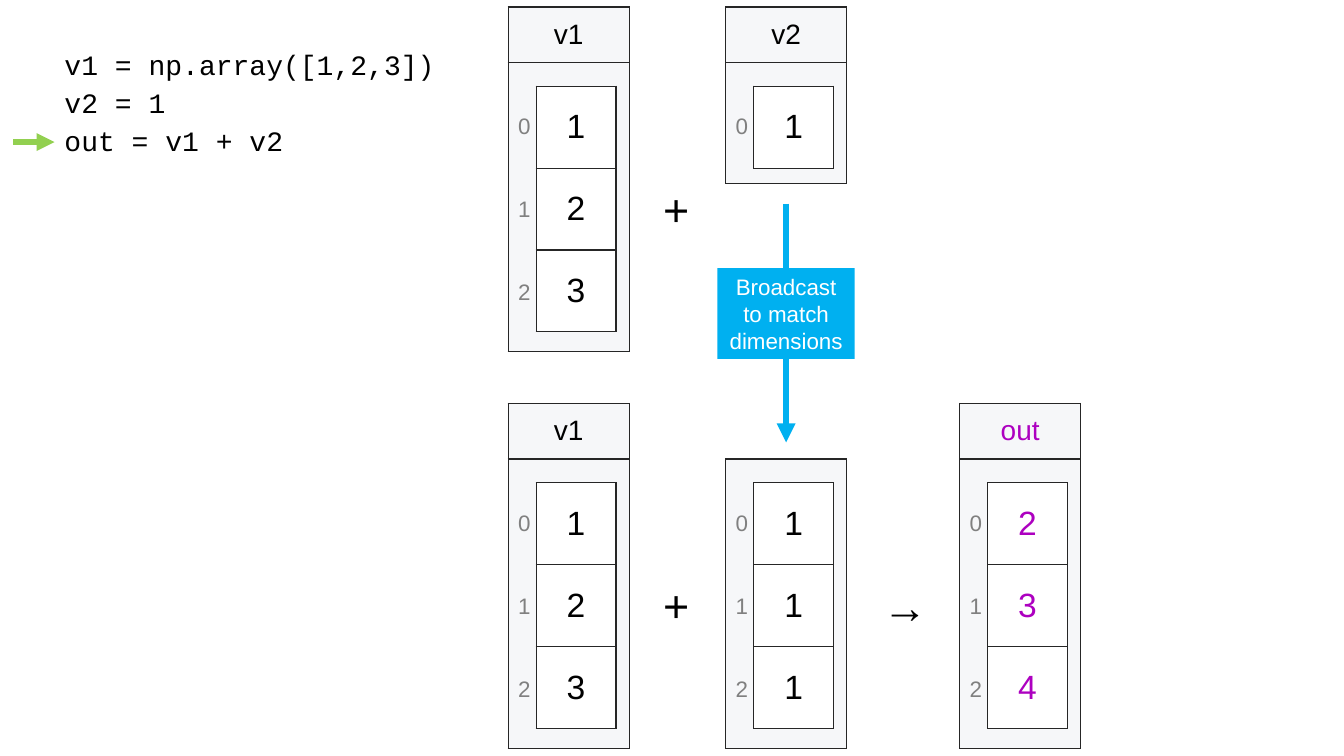
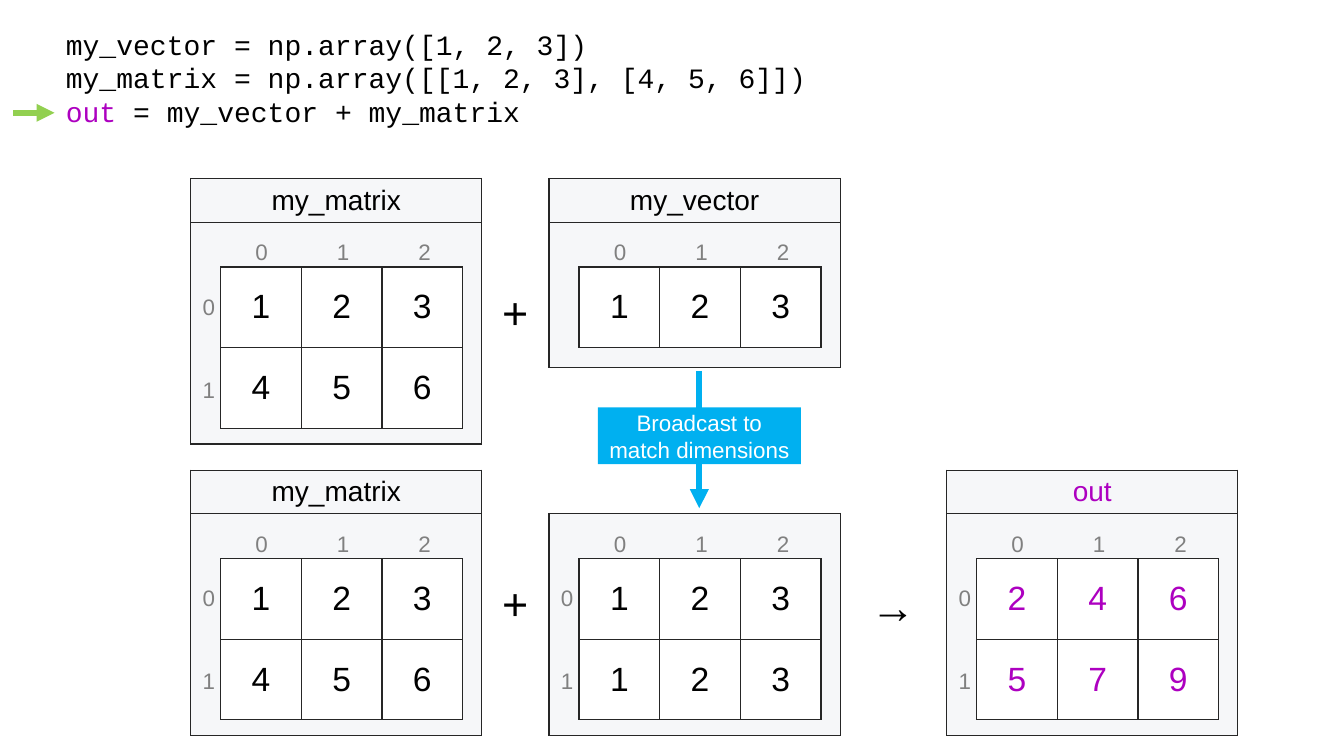
from lxml import etree
from pptx import Presentation
from pptx.dml.color import RGBColor
from pptx.enum.shapes import MSO_CONNECTOR, MSO_SHAPE
from pptx.enum.text import MSO_ANCHOR, PP_ALIGN
from pptx.oxml.ns import qn
from pptx.util import Pt

BLACK = RGBColor(0x00, 0x00, 0x00)
WHITE = RGBColor(0xFF, 0xFF, 0xFF)
PANEL = RGBColor(0xF6, 0xF7, 0xF9)
BORDER = RGBColor(0x26, 0x26, 0x26)
GREY = RGBColor(0x80, 0x80, 0x80)
PURPLE = RGBColor(0xAD, 0x00, 0xC0)
GREEN = RGBColor(0x92, 0xD0, 0x50)
BLUE = RGBColor(0x00, 0xB0, 0xF0)

SANS, MONO = "Arial", "Courier New"
LABEL_W, LABEL_H = 25, 26.6
ROW_LABEL_STEP, COL_LABEL_STEP = 59.3, 58.2


class Layout:
    """Measures, in points, shared by the array panels of one slide."""

    def __init__(self, width, header, cell_w, cell_h, inset_x, inset_y, label_x):
        self.width, self.header = width, header
        self.cell_w, self.cell_h = cell_w, cell_h
        self.inset_x, self.inset_y = inset_x, inset_y
        self.label_x = label_x


VECTOR = Layout(86.5, 39.6, 57, 58.5, 20, 17, 0)
MATRIX = Layout(208, 31, 57.6, 57.6, 21.4, 32.2, 1.4)


class Deck:
    def __init__(self):
        self.prs = Presentation()
        self.prs.slide_width, self.prs.slide_height = Pt(960), Pt(540)
        self.slide = None
        self.layout = None

    def new_slide(self, layout):
        self.slide = self.prs.slides.add_slide(self.prs.slide_layouts[6])
        self.layout = layout

    def style(self, p, size, color, font=SANS, align=PP_ALIGN.CENTER):
        p.alignment = align
        for r in p.runs:
            r.font.size, r.font.name = Pt(size), font
            r.font.color.rgb = color

    def text(self, x, y, w, h, text, size, color=BLACK, align=PP_ALIGN.CENTER):
        tf = self.slide.shapes.add_textbox(Pt(x), Pt(y), Pt(w), Pt(h)).text_frame
        tf.word_wrap = True
        tf.text = text
        self.style(tf.paragraphs[0], size, color, align=align)

    def operator(self, x, y, symbol):
        """Place a large symbol centred on x."""
        self.text(x - 25, y, 50, 46, symbol, 32)

    def code(self, x, y, lines, gap=0, accent=None):
        """Write lines of code; accent is a leading word of the last line."""
        box = self.slide.shapes.add_textbox(Pt(x), Pt(y), Pt(548), Pt(80))
        tf = box.text_frame
        tf.word_wrap = False
        tf.text = "\n".join(lines)
        last = tf.paragraphs[-1]
        if accent:
            last.text = accent
            last.add_run().text = lines[-1].removeprefix(accent)
        for p in tf.paragraphs:
            p.space_after = Pt(gap)
            self.style(p, 20, BLACK, MONO, PP_ALIGN.LEFT)
        if accent:
            last.runs[0].font.color.rgb = PURPLE

    def arrow(self, x1, y1, x2, y2, color, width):
        line = self.slide.shapes.add_connector(
            MSO_CONNECTOR.STRAIGHT, Pt(x1), Pt(y1), Pt(x2), Pt(y2))
        line.line.color.rgb = color
        line.line.width = Pt(width)
        etree.SubElement(line.line._get_or_add_ln(), qn("a:tailEnd"), type="triangle")
        etree.SubElement(line._element.spPr, qn("a:effectLst"))

    def current_line(self, y):
        """Point at the line of code being run."""
        self.arrow(9.4, y, 39, y, GREEN, 4.25)

    def broadcast(self, x, top, bottom, label_y, label_w, label_h):
        """Draw a downward arrow at x with a label box across it."""
        self.arrow(x, top, x, bottom, BLUE, 4.5)
        sp = self.slide.shapes.add_shape(
            MSO_SHAPE.RECTANGLE, Pt(x - label_w / 2), Pt(label_y), Pt(label_w), Pt(label_h))
        sp.shadow.inherit = False
        sp.fill.solid()
        sp.fill.fore_color.rgb = BLUE
        sp.line.fill.background()
        tf = sp.text_frame
        tf.word_wrap = True
        tf.vertical_anchor = MSO_ANCHOR.MIDDLE
        tf.text = "Broadcast to match dimensions"
        self.style(tf.paragraphs[0], 16, WHITE)

    def border(self, cell):
        tcPr = cell._tc.get_or_add_tcPr()
        for i, side in enumerate(("lnL", "lnR", "lnT", "lnB")):
            ln = etree.Element(qn(f"a:{side}"), w=str(Pt(1)))
            fill = etree.SubElement(ln, qn("a:solidFill"))
            etree.SubElement(fill, qn("a:srgbClr"), val=str(BORDER))
            tcPr.insert(i, ln)

    def table(self, x, y, col_w, heights, values, size, color, fill):
        n = len(values[0])
        table = self.slide.shapes.add_table(
            len(values), n, Pt(x), Pt(y), Pt(col_w * n), Pt(sum(heights))).table
        table.first_row = table.horz_banding = False
        for col in table.columns:
            col.width = Pt(col_w)
        for row, height, row_values in zip(table.rows, heights, values):
            row.height = Pt(height)
            for cell, value in zip(row.cells, row_values):
                cell.fill.solid()
                cell.fill.fore_color.rgb = fill
                cell.vertical_anchor = MSO_ANCHOR.MIDDLE
                self.border(cell)
                if value != "":
                    cell.text = str(value)
                    self.style(cell.text_frame.paragraphs[0], size, color)

    def array(self, x, y, body, values, name=None, color=BLACK,
              row_labels=True, col_labels=False):
        """Draw a panel whose body starts at y, its header above, its cells inside."""
        lay = self.layout
        if name:
            self.table(x, y - lay.header, lay.width, [lay.header, body],
                       [[name], [""]], 20, color, PANEL)
        else:
            self.table(x, y, lay.width, [body], [[""]], 20, color, PANEL)
        left, top = x + lay.inset_x, y + lay.inset_y
        self.table(left, top, lay.cell_w, [lay.cell_h] * len(values),
                   values, 24, color, WHITE)
        if row_labels:
            for i in range(len(values)):
                self.text(x + lay.label_x, top + 15 + i * ROW_LABEL_STEP,
                          LABEL_W, LABEL_H, str(i), 16, GREY, PP_ALIGN.LEFT)
        if col_labels:
            for j in range(len(values[0])):
                self.text(left + 16.8 + j * COL_LABEL_STEP, top - 24,
                          LABEL_W, LABEL_H, str(j), 16, GREY)


def vector_slide(deck):
    deck.new_slide(VECTOR)
    first, second, third = 363, 518.4, 685.5
    upper, lower, body = 44.6, 327.8, 206.6
    v1 = [[1], [2], [3]]
    deck.code(39, 30.2, ["v1 = np.array([1,2,3])", "v2 = 1", "out = v1 + v2"], gap=3.4)
    deck.current_line(101.5)
    deck.array(first, upper, body, v1, "v1")
    deck.array(second, upper, 86.4, [[1]], "v2")
    deck.array(first, lower, body, v1, "v1")
    deck.array(second, lower, body, [[1]] * 3)
    deck.array(third, lower, body, [[2], [3], [4]], "out", PURPLE)
    deck.operator(483, 126, "+")
    deck.operator(483, 409, "+")
    deck.operator(646.5, 409.7, "→")
    deck.broadcast(561.5, 145.5, 316, 191.5, 98, 64.8)


def matrix_slide(deck):
    deck.new_slide(MATRIX)
    first, second, third = 136.2, 392.2, 676.2
    upper, lower, body = 158.5, 366.8, 158.4
    matrix, vector = [[1, 2, 3], [4, 5, 6]], [1, 2, 3]
    deck.code(40, 15.8, ["my_vector = np.array([1, 2, 3])",
                         "my_matrix = np.array([[1, 2, 3], [4, 5, 6]])",
                         "out = my_vector + my_matrix"], accent="out")
    deck.current_line(80.6)
    deck.array(first, upper, body, matrix, "my_matrix", col_labels=True)
    deck.array(second, upper, 104, [vector], "my_vector",
               row_labels=False, col_labels=True)
    deck.array(first, lower, body, matrix, "my_matrix", col_labels=True)
    deck.array(second, lower, body, [vector] * 2, col_labels=True)
    deck.array(third, lower, body, [[2, 4, 6], [5, 7, 9]], "out", PURPLE,
               col_labels=True)
    deck.operator(368, 199.5, "+")
    deck.operator(368, 407.5, "+")
    deck.operator(638, 409.7, "→")
    deck.broadcast(499.5, 265, 363, 291, 145, 40.5)


def main():
    deck = Deck()
    vector_slide(deck)
    matrix_slide(deck)
    deck.prs.save("out.pptx")


if __name__ == "__main__":
    main()
